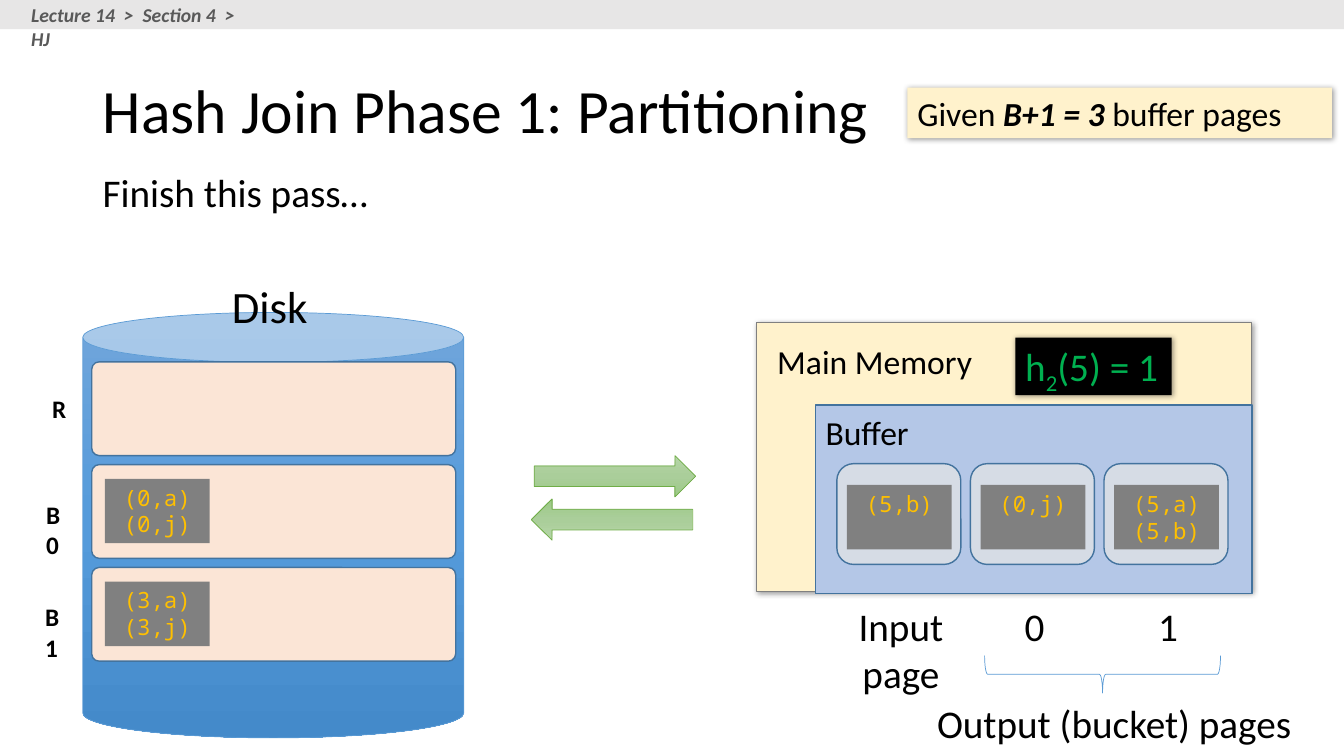
import copy
import pptx
import pptx.dml.color
import pptx.enum.shapes
import pptx.enum.text
import pptx.oxml
import pptx.util
from pptx.util import Inches

KIND = pptx.enum.shapes.MSO_SHAPE
ALIGN = pptx.enum.text.PP_ALIGN
ANCHOR = pptx.enum.text.MSO_ANCHOR
SANS, MONO = "Calibri", "Noto Sans Mono"
EDGE = ("43739E", 1)

# Content
TITLE = "Hash Join Phase 1: Partitioning"
CRUMB = "Lecture 14  >  Section 4  >  HJ"
GIVEN = [("Given ", ""), ("B+1 = 3 ", "bi"), ("buffer pages", "")]
HASH = [("h", ""), ("2", "sub"), ("(5) = 1", "")]
# label, label left, label top, label width, tuples on disk
BANDS = [
    ("R", 0.42, 3.85, 0.34, []),
    ("B0", 0.36, 4.9, 0.46, ["(0,a)", "(0,j)"]),
    ("B1", 0.35, 5.92, 0.46, ["(3,a)", "(3,j)"]),
]
# label, label height, tuples in the page
PAGES = [
    ("Input page", 1.04, ["(5,b)"]),
    ("0", 0.57, ["(0,j)"]),
    ("1", 0.57, ["(5,a)", "(5,b)"]),
]
DISK = ["71A6DB", "559BDB", "448ACA"]
GREEN = ["B5D5A7", "AACE9A", "9CC987"]


def rgb(code):
    return pptx.dml.color.RGBColor.from_string(code)


def write(frame, lines, size, color="000000", font=SANS, align=ALIGN.LEFT,
          wrap=True, anchor=ANCHOR.TOP):
    """Fill a text frame; each line is a string or a list of (text, style)."""
    frame.word_wrap = wrap
    frame.vertical_anchor = anchor
    for n, line in enumerate(lines):
        para = frame.add_paragraph() if n else frame.paragraphs[0]
        para.alignment = align
        for text, style in [(line, "")] if isinstance(line, str) else line:
            run = para.add_run()
            run.text = text
            run.font.name = font
            run.font.size = pptx.util.Pt(size)
            run.font.color.rgb = rgb(color)
            run.font.bold = "b" in style and style != "sub"
            run.font.italic = "i" in style
            if style == "sub":
                run.font._element.set("baseline", "-25000")


def label(box, line, size, **look):
    area = slide.shapes.add_textbox(*map(Inches, box))
    write(area.text_frame, [line], size, **look)
    return area


def shape(kind, box, fill=None, line=None, adj=None, turn=0):
    item = slide.shapes.add_shape(kind, *map(Inches, box))
    item.shadow.inherit = False
    item.rotation = turn
    if adj is not None:
        item.adjustments[0] = adj
    if isinstance(fill, list):
        blend(item, fill)
    elif fill:
        item.fill.solid()
        item.fill.fore_color.rgb = rgb(fill)
    else:
        item.fill.background()
    if line:
        item.line.color.rgb = rgb(line[0])
        item.line.width = pptx.util.Pt(line[1])
    else:
        item.line.fill.background()
    return item


def blend(item, colors):
    """Apply a three-stop gradient running from top to bottom."""
    item.fill.gradient()
    item.fill.gradient_angle = 270
    first = item._element.spPr.xpath(".//a:gs")[0]
    first.addnext(copy.deepcopy(first))
    for n, (stop, color) in enumerate(zip(item.fill.gradient_stops, colors)):
        stop.position = n / 2
        stop.color.rgb = rgb(color)


def shade(item):
    """Give the shape a soft shadow to the lower right."""
    effects = item._element.spPr.xpath("a:effectLst")[0]
    effects.append(pptx.oxml.parse_xml(
        '<a:outerShdw xmlns:a="http://schemas.openxmlformats.org/drawingml/2006/main"'
        ' blurRad="50800" dist="12700" dir="2700000" algn="tl" rotWithShape="0">'
        '<a:srgbClr val="000000"><a:alpha val="40000"/></a:srgbClr></a:outerShdw>'))
    return item


def tuples(left, top, lines):
    page = shape(KIND.RECTANGLE, (left, top, 1.04, 0.64), "808080")
    write(page.text_frame, lines, 16, "FFC000", MONO, ALIGN.CENTER)


deck = pptx.Presentation()
deck.slide_width, deck.slide_height = Inches(13.33), Inches(7.5)
slide = deck.slides.add_slide(deck.slide_layouts[5])

# Header
shape(KIND.RECTANGLE, (0, 0, 13.33, 0.29), "E7E6E6")
label((0.21, -0.02, 2.47, 0.34), [(CRUMB, "bi")], 14, color="595959")
title = slide.shapes.title
title.left, title.top, title.width, title.height = map(Inches, (0.92, 0.4, 11.5, 1.45))
write(title.text_frame, [TITLE], 44, anchor=ANCHOR.MIDDLE)
title.text_frame.paragraphs[0].line_spacing = 0.9
body = label((0.92, 1.67, 11.5, 1.28), "Finish this pass…", 28)
body.text_frame.paragraphs[0].line_spacing = 0.9
given = shade(shape(KIND.RECTANGLE, (9, 0.87, 4.21, 0.5), "FFF2CC"))
write(given.text_frame, [GIVEN], 24)

# Disk
shape(KIND.CAN, (0.82, 3.1, 3.78, 4.22), DISK, ("5B9BD5", 0.5), 0.131)
label((2.19, 2.72, 0.97, 0.78), "Disk", 32, align=ALIGN.CENTER)
for n, (name, left, top, width, rows) in enumerate(BANDS):
    y = 3.59 + 1.02 * n
    label((left, top, width, 0.4), [(name, "b")], 18, wrap=False)
    shape(KIND.ROUNDED_RECTANGLE, (0.91, y, 3.61, 0.93), "FBE5D6", EDGE, 0.079)
    if rows:
        tuples(1.04, y + 0.14, rows)

# Transfers
for left, top, turn in [(5.3, 4.52, 0), (5.27, 4.95, 180)]:
    shape(KIND.RIGHT_ARROW, (left, top, 1.6, 0.41), GREEN, ("70AD47", 0.5), turn=turn)

# Memory
shade(shape(KIND.RECTANGLE, (7.5, 3.2, 4.91, 2.67), "FFF2CC", ("808080", 0.5)))
shape(KIND.RECTANGLE, (8.09, 4.02, 4.33, 1.87), "B4C7E7", EDGE)
label((7.61, 3.33, 2.15, 0.5), "Main Memory", 24, wrap=False)
label((8.09, 4.04, 1.04, 0.5), "Buffer", 24, wrap=False)
for n, (name, height, rows) in enumerate(PAGES):
    x = 8.3 + 1.325 * n
    shape(KIND.ROUNDED_RECTANGLE, (x, 4.6, 1.23, 1), "D6DCE5", EDGE)
    tuples(x + 0.1, 4.81, rows)
    label((x + 0.09, 5.93, 1.09, height), name, 28, align=ALIGN.CENTER)
hash_box = shade(shape(KIND.RECTANGLE, (10.07, 3.35, 1.55, 0.57), "000000"))
write(hash_box.text_frame, [HASH], 28, "00B050", wrap=False)
shape(KIND.RIGHT_BRACE, (10.75, 5.52, 0.37, 2.34), line=("5B9BD5", 0.5), turn=90)
label((9.13, 6.89, 3.84, 0.57), "Output (bucket) pages", 28, align=ALIGN.CENTER)

deck.save("out.pptx")
